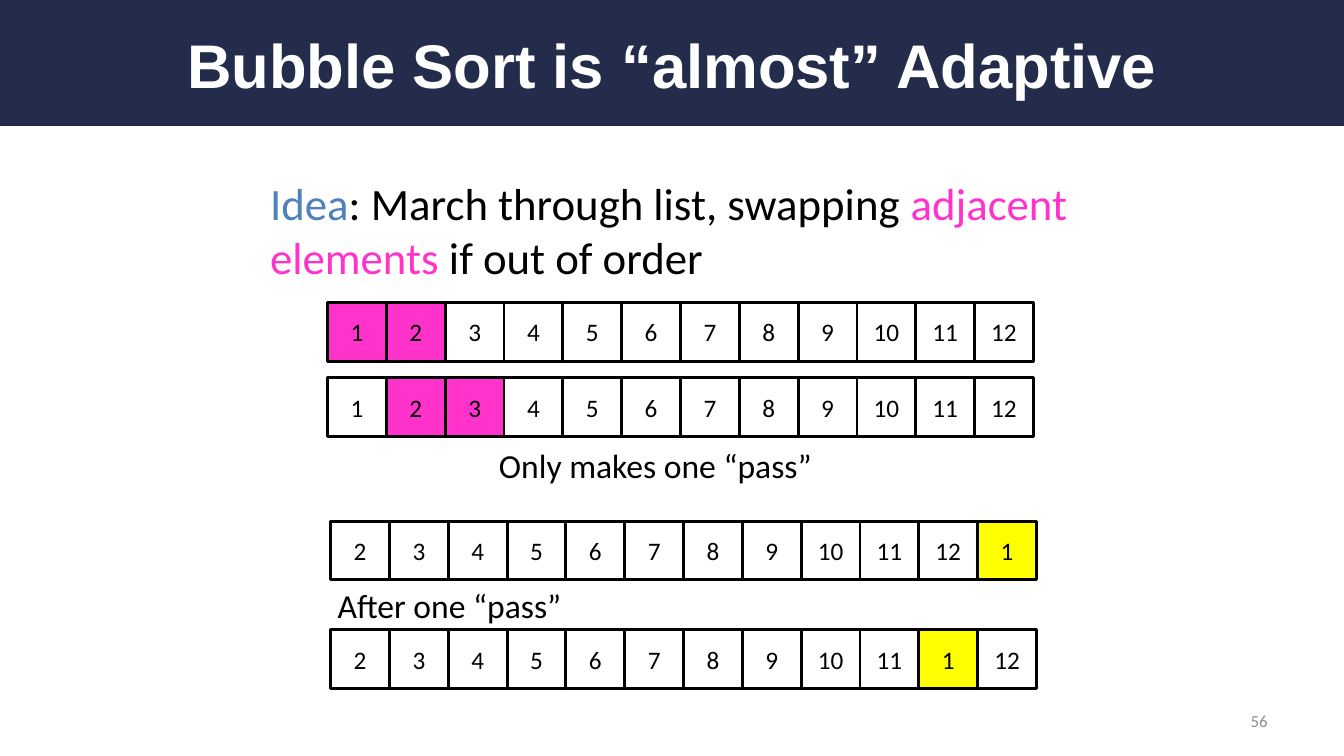
"""Build the slide on how bubble sort treats lists that are nearly sorted."""
from pptx import Presentation
from pptx.dml.color import RGBColor
from pptx.enum.shapes import MSO_SHAPE
from pptx.enum.text import MSO_ANCHOR, PP_ALIGN
from pptx.util import Inches, Pt

NAVY = RGBColor(0x23, 0x2D, 0x4B)
BLUE = RGBColor(0x4F, 0x81, 0xBD)
PINK = RGBColor(0xFF, 0x33, 0xCC)
YELLOW = RGBColor(0xFF, 0xFF, 0x00)
GREY = RGBColor(0x8C, 0x8C, 0x8C)
BLACK = RGBColor(0, 0, 0)
WHITE = RGBColor(0xFF, 0xFF, 0xFF)

TITLE = {"name": "Arial", "size": Pt(44), "bold": True}
BODY = {"name": "Calibri", "size": Pt(32)}
LABEL = {"name": "Calibri", "size": Pt(24)}
DIGIT = {"name": "Calibri", "size": Pt(18)}
SMALL = {"name": "Calibri", "size": Pt(12)}


def write(shape, parts, style, align=PP_ALIGN.LEFT, anchor=MSO_ANCHOR.MIDDLE):
    """Write coloured runs into a shape as one paragraph."""
    frame = shape.text_frame
    for key, value in {"word_wrap": True, "vertical_anchor": anchor}.items():
        setattr(frame, key, value)
    line = frame.paragraphs[0]
    line.alignment = align
    for text, colour in parts:
        run = line.add_run()
        run.text = text
        for key, value in style.items():
            setattr(run.font, key, value)
        run.font.color.rgb = colour


def add_text(slide, box, parts, style, **place):
    """Add a text box at the given left, top, width and height."""
    shape = slide.shapes.add_textbox(*map(Inches, box))
    write(shape, parts, style, **place)


def add_block(shapes, box, fill=None):
    """Add a rectangle without outline or shadow, filled if a colour is given."""
    block = shapes.add_shape(MSO_SHAPE.RECTANGLE, *map(Inches, box))
    block.shadow.inherit = False
    block.line.fill.background()
    if fill is None:
        block.fill.background()
    else:
        block.fill.solid()
        block.fill.fore_color.rgb = fill
    return block


def add_header(slide, box, text):
    """Draw the title band with its centred heading."""
    left, top, width, height = box
    add_block(slide.shapes, box, NAVY)
    inner = (left + 0.67, top + 0.17, width - 1.33, height - 0.33)
    add_text(slide, inner, [(text, WHITE)], TITLE, align=PP_ALIGN.CENTER)


def add_row(slide, box, values, marked, colour):
    """Draw a list as a group of equal cells, with marked values coloured."""
    left, top, width, height = box
    step = width / len(values)
    group = slide.shapes.add_group_shape()
    for index, value in enumerate(values):
        fill = colour if value in marked else None
        cell = add_block(group.shapes, (left + index * step, top, step, height), fill)
        cell.line.color.rgb = BLACK
        cell.line.width = Pt(2)
        write(cell, [(str(value), BLACK)], DIGIT, align=PP_ALIGN.CENTER)


def add_case(slide, box, rows, colour, label, shift):
    """Draw two list states, the first at the top and the last at the bottom."""
    left, top, width, height = box
    side = width / 12
    for start, (values, marked) in zip((top, top + height - side), rows):
        add_row(slide, (left, start, width, side), values, marked, colour)
    across, down = shift
    add_text(slide, (left + across, top + down, 4.41, 0.5), [(label, BLACK)],
             LABEL, anchor=MSO_ANCHOR.TOP)


def main():
    """Build and save the slide."""
    deck = Presentation()
    deck.slide_width, deck.slide_height = Inches(13.33), Inches(7.5)
    slide = deck.slides.add_slide(deck.slide_layouts[6])
    add_header(slide, (0, 0, 13.33, 1.25), "Bubble Sort is “almost” Adaptive")
    idea = [("Idea", BLUE), (": March through list, swapping ", BLACK),
            ("adjacent elements", PINK), (" if out of order", BLACK)]
    add_text(slide, (2.58, 1.69, 9, 1.17), idea, BODY)
    add_text(slide, (9.56, 6.95, 3.11, 0.4), [("56", GREY)], SMALL,
             align=PP_ALIGN.RIGHT)
    order = list(range(1, 13))
    add_case(slide, (3.25, 3, 7, 1.33), [(order, {1, 2}), (order, {2, 3})],
             PINK, "Only makes one “pass”", (1.6, 1.36))
    before = order[1:] + [1]
    after = order[1:-1] + [1, 12]
    add_case(slide, (3.28, 5.17, 7, 1.66), [(before, {1}), (after, {1})],
             YELLOW, "After one “pass”", (-0.03, 0.58))
    deck.save("out.pptx")


if __name__ == "__main__":
    main()
